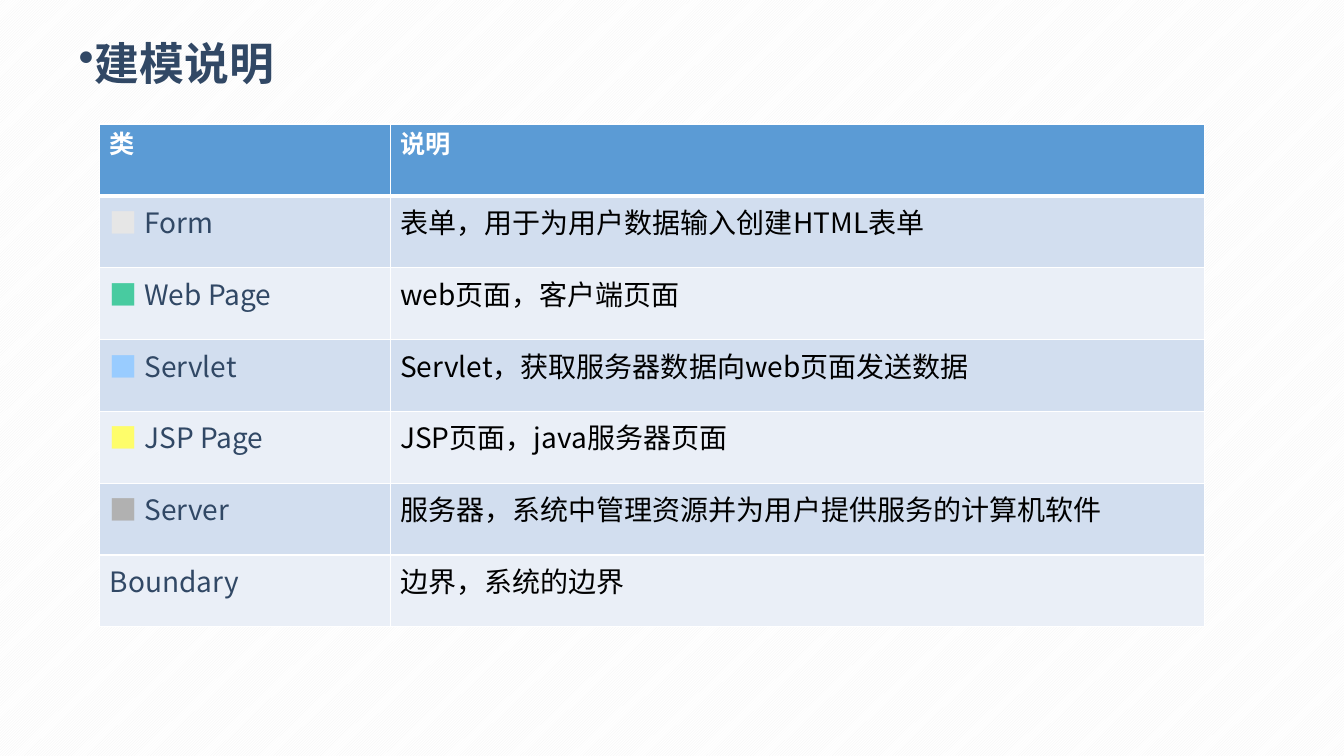
from lxml.etree import SubElement
from pptx import Presentation
from pptx.dml.color import RGBColor as RGB
from pptx.enum.dml import MSO_PATTERN
from pptx.enum.text import MSO_ANCHOR, MSO_AUTO_SIZE, PP_ALIGN
from pptx.oxml.ns import qn
from pptx.util import Inches, Pt

COLORS = {
    "navy": "314865", "white": "FFFFFF", "black": "000000", "stripe": "F2F2F2",
    "header": "5B9BD5", "odd": "D2DEEF", "even": "EAEFF7",
    "form": "E6E6E6", "web": "48CBA0", "servlet": "99CCFF",
    "jsp": "FEFD6A", "server": "B1B1B1",
}
BODY_FONT = "Noto Sans CJK SC"
HEADER_FONT = "Cabin"

# Marker colour, class name, description
CLASSES = [
    ("form", "Form", "表单，用于为用户数据输入创建HTML表单"),
    ("web", "Web Page", "web页面，客户端页面"),
    ("servlet", "Servlet", "Servlet，获取服务器数据向web页面发送数据"),
    ("jsp", "JSP Page", "JSP页面，java服务器页面"),
    ("server", "Server", "服务器，系统中管理资源并为用户提供服务的计算机软件"),
    (None, "Boundary", "边界，系统的边界"),
]


def rgb(name):
    return RGB.from_string(COLORS[name])


def add_text(p, text, size=20, color="black", bold=False, font=BODY_FONT):
    r = p.add_run()
    r.text = text
    r.font.size = Pt(size)
    r.font.bold = bold
    r.font.color.rgb = rgb(color)
    r.font.name = font
    SubElement(r.font._element, qn("a:ea"), typeface=font)


def set_background(slide):
    fill = slide.background.fill
    fill.patterned()
    fill.pattern = MSO_PATTERN.DARK_UPWARD_DIAGONAL
    fill.fore_color.rgb = rgb("stripe")
    fill.back_color.rgb = rgb("white")


def add_title(slide, left, top, width, height):
    sp = slide.shapes.title
    sp.left, sp.top, sp.width, sp.height = map(Inches, (left, top, width, height))
    tf = sp.text_frame
    tf.word_wrap = True
    tf.auto_size = MSO_AUTO_SIZE.SHAPE_TO_FIT_TEXT
    tf.vertical_anchor = MSO_ANCHOR.TOP
    p = tf.paragraphs[0]
    p.alignment = PP_ALIGN.LEFT
    p.line_spacing = Pt(30)
    p.space_before = Pt(0)
    # Bullet
    pPr = p._p.get_or_add_pPr()
    pPr.set("marL", str(Inches(0.38)))
    pPr.set("indent", "0")
    SubElement(pPr, qn("a:buChar"), char="•")
    add_text(p, "建模说明", size=32, color="navy", bold=True)


def style_cell(cell, fill, top=1, bottom=1):
    # Borders come before the fill in the cell properties
    tcPr = cell._tc.get_or_add_tcPr()
    for side, weight in (("L", 1), ("R", 1), ("T", top), ("B", bottom)):
        ln = SubElement(tcPr, qn(f"a:ln{side}"), w=str(Pt(weight)))
        solid = SubElement(ln, qn("a:solidFill"))
        SubElement(solid, qn("a:srgbClr"), val=COLORS["white"])
    cell.fill.solid()
    cell.fill.fore_color.rgb = rgb(fill)


def add_class_table(slide, left, top, width, height):
    rows = len(CLASSES) + 1
    table = slide.shapes.add_table(
        rows, 2, *map(Inches, (left, top, width, height))).table
    name_width = 2.88
    table.columns[0].width = Inches(name_width)
    table.columns[1].width = Inches(width - name_width)
    for row in table.rows:
        row.height = Inches(height / rows)

    # Header row
    for cell, text in zip(table.rows[0].cells, ("类", "说明")):
        style_cell(cell, "header", bottom=3)
        add_text(cell.text_frame.paragraphs[0], text, size=18, color="white",
                 bold=True, font=HEADER_FONT)

    # One row per class, in alternating bands
    for i, (marker, name, description) in enumerate(CLASSES, start=1):
        cells = table.rows[i].cells
        for cell in cells:
            style_cell(cell, "odd" if i % 2 else "even", top=3 if i == 1 else 1)
        p_name, p_desc = (cell.text_frame.paragraphs[0] for cell in cells)
        if marker:
            add_text(p_name, "■ ", color=marker, bold=True)
        add_text(p_name, name, color="navy")
        add_text(p_desc, description)


def main():
    prs = Presentation()
    prs.slide_width, prs.slide_height = Inches(13.33), Inches(7.5)
    slide = prs.slides.add_slide(prs.slide_layouts[5])
    set_background(slide)
    add_title(slide, 0.3, 0.42, 11.93, 0.52)
    add_class_table(slide, 0.99, 1.23, 10.96, 4.99)
    prs.save("out.pptx")


if __name__ == "__main__":
    main()
